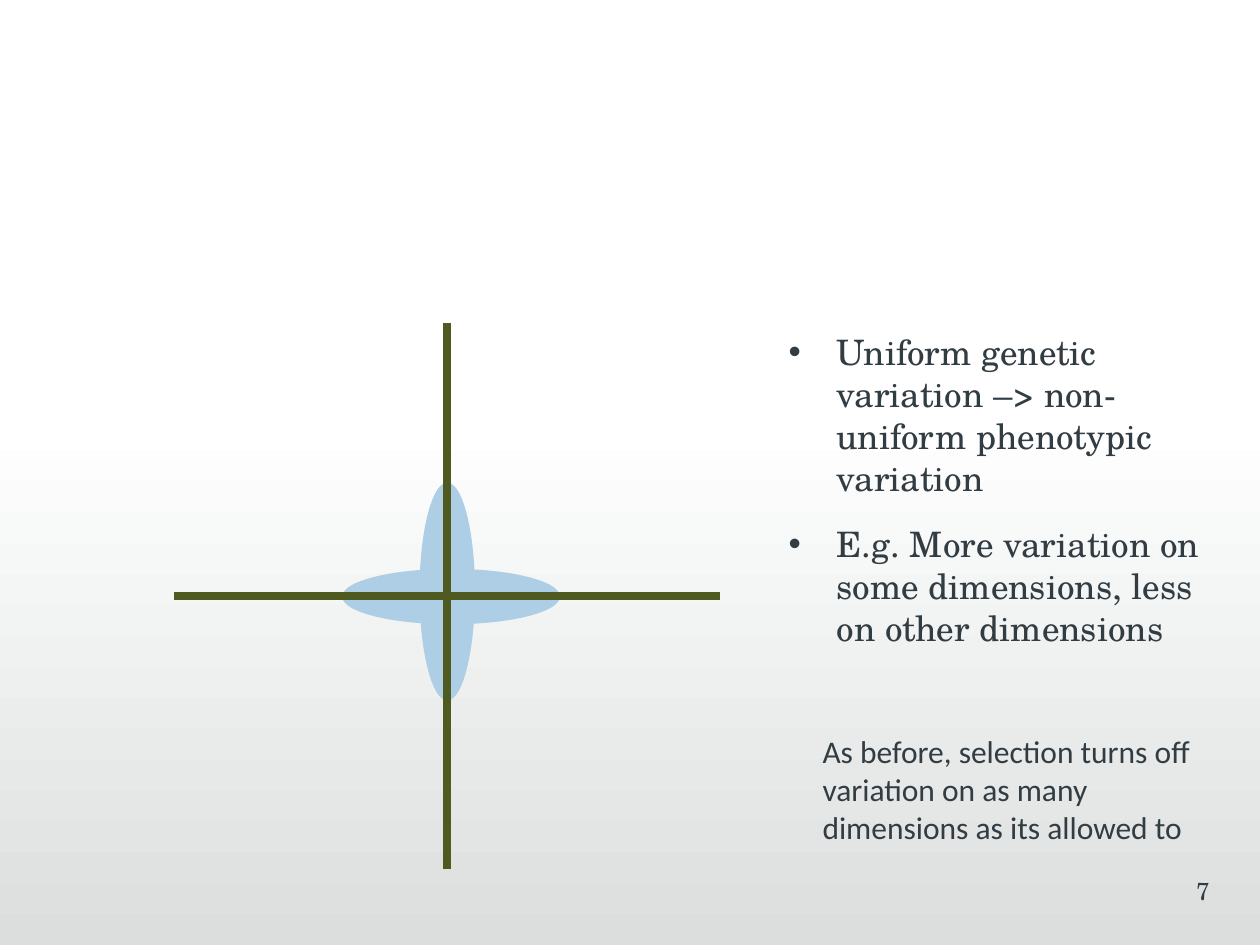
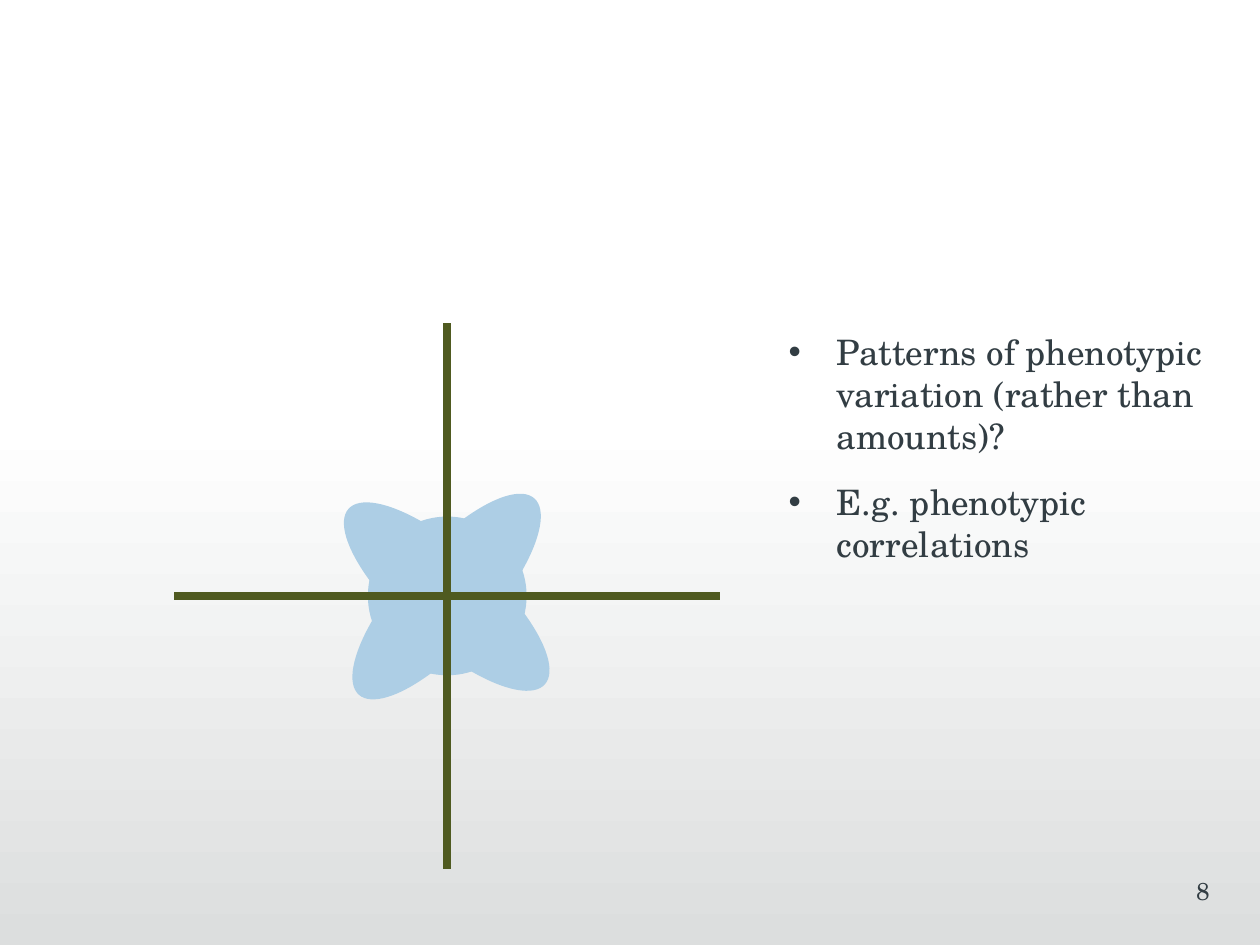
from dataclasses import dataclass
from typing import Any

import pptx
import pptx.dml.color
import pptx.enum.shapes
import pptx.enum.text
import pptx.oxml.ns
import pptx.presentation
import pptx.slide
import pptx.util
from lxml import etree
from pptx.util import Inches

SERIF = "TeX Gyre Schola"
SANS = "Calibri"
INK = "323D43"
PETAL = "ADCEE5"
AXIS = "4F5A20"
BAND_STOPS = ("FFFFFF", "DCDEDE")
CENTER_X, CENTER_Y, AXIS_REACH = 3.55, 4.73, 2.165


@dataclass(frozen=True)
class Area:
    left: float
    top: float
    width: float
    height: float

    def lengths(self) -> list[int]:
        return [Inches(side) for side in (self.left, self.top, self.width, self.height)]


@dataclass(frozen=True)
class Petal:
    area: Area
    rotation: float = 0


@dataclass(frozen=True)
class TextStyle:
    font: str
    size: float
    space_after: float = 0
    indent: float = 0
    hanging: float = 0
    bullet: str = ""
    align: Any = pptx.enum.text.PP_ALIGN.LEFT
    inset_left: float = 0.1
    inset_right: float = 0.1


@dataclass(frozen=True)
class Plot:
    number: int
    petals: list[Petal]
    points: list[str]
    remark: str = ""


BODY = TextStyle(SERIF, 20, space_after=14, indent=0.38, hanging=-0.38, bullet="•", inset_left=0)
NUMBER = TextStyle(SERIF, 14, align=pptx.enum.text.PP_ALIGN.RIGHT, inset_right=0)
REMARK = TextStyle(SANS, 18, space_after=6, indent=0.5)

BAND_AREA = Area(0, 3.33, 10, 4.17)
BODY_AREA = Area(6.26, 2.57, 3.46, 4.5)
NUMBER_AREA = Area(7.52, 6.9, 2.08, 0.5)
REMARK_AREA = Area(5.93, 5.76, 3.74, 1.01)
DIAGONAL_AREA = Area(3.18, 3.69, 0.73, 2.09)

PLOTS = [
    Plot(
        7,
        [Petal(Area(3.33, 3.83, 0.44, 1.73)), Petal(Area(3.36, 3.87, 0.44, 1.73), 90)],
        [
            "Uniform genetic variation –> non-uniform phenotypic variation",
            "E.g. More variation on some dimensions, less on other dimensions",
        ],
        "As before, selection turns off variation on as many dimensions as its allowed to",
    ),
    Plot(
        8,
        [
            Petal(DIAGONAL_AREA, 41.8),
            Petal(Area(2.92, 4.1, 1.26, 1.26)),
            Petal(DIAGONAL_AREA, 131.8),
        ],
        [
            "Patterns of phenotypic variation (rather than amounts)?",
            "E.g. phenotypic correlations",
        ],
    ),
]


def color(value: str) -> pptx.dml.color.RGBColor:
    return pptx.dml.color.RGBColor.from_string(value)


def apply(target: Any, values: dict[str, Any]) -> None:
    for name, value in values.items():
        setattr(target, name, value)


def add_bullet(para: Any, style: TextStyle) -> None:
    properties = para._p.get_or_add_pPr()
    properties.set("marL", str(Inches(style.indent)))
    properties.set("indent", str(Inches(style.hanging)))
    if style.bullet:
        for tag, key, value in (("a:buFont", "typeface", "Arial"), ("a:buChar", "char", style.bullet)):
            etree.SubElement(properties, pptx.oxml.ns.qn(tag)).set(key, value)


def add_text(page: pptx.slide.Slide, area: Area, lines: list[str], style: TextStyle) -> None:
    frame = page.shapes.add_textbox(*area.lengths()).text_frame
    apply(frame, {
        "word_wrap": True,
        "margin_left": Inches(style.inset_left),
        "margin_right": Inches(style.inset_right),
        "margin_top": Inches(0.05),
        "margin_bottom": Inches(0.05),
    })
    for index, line in enumerate(lines):
        para = frame.add_paragraph() if index else frame.paragraphs[0]
        add_bullet(para, style)
        apply(para, {"alignment": style.align, "space_after": pptx.util.Pt(style.space_after)})
        span = para.add_run()
        span.text = line
        apply(span.font, {"name": style.font, "size": pptx.util.Pt(style.size)})
        span.font.color.rgb = color(INK)


def add_plain_shape(page: pptx.slide.Slide, kind: Any, area: Area) -> Any:
    shape = page.shapes.add_shape(kind, *area.lengths())
    shape.shadow.inherit = False
    shape.line.fill.background()
    return shape


def add_band(page: pptx.slide.Slide) -> None:
    band = add_plain_shape(page, pptx.enum.shapes.MSO_SHAPE.RECTANGLE, BAND_AREA)
    band.fill.gradient()
    band.fill.gradient_angle = 270
    for stop, value, position in zip(band.fill.gradient_stops, BAND_STOPS, (0, 1)):
        stop.color.rgb = color(value)
        stop.position = position


def add_petal(page: pptx.slide.Slide, petal: Petal) -> None:
    shape = add_plain_shape(page, pptx.enum.shapes.MSO_SHAPE.OVAL, petal.area)
    shape.fill.solid()
    shape.fill.fore_color.rgb = color(PETAL)
    shape.rotation = petal.rotation


def add_axes(page: pptx.slide.Slide) -> None:
    axes = page.shapes.add_group_shape()
    for reach_x, reach_y in ((0, AXIS_REACH), (AXIS_REACH, 0)):
        axis = axes.shapes.add_connector(
            pptx.enum.shapes.MSO_CONNECTOR.STRAIGHT,
            Inches(CENTER_X - reach_x),
            Inches(CENTER_Y - reach_y),
            Inches(CENTER_X + reach_x),
            Inches(CENTER_Y + reach_y),
        )
        axis.line.color.rgb = color(AXIS)
        axis.line.width = pptx.util.Pt(4.5)
        etree.SubElement(axis._element.spPr, pptx.oxml.ns.qn("a:effectLst"))


def add_plot_page(deck: pptx.presentation.Presentation, plot: Plot) -> None:
    page = deck.slides.add_slide(deck.slide_layouts[6])
    add_band(page)
    add_text(page, BODY_AREA, plot.points, BODY)
    add_text(page, NUMBER_AREA, [str(plot.number)], NUMBER)
    for petal in plot.petals:
        add_petal(page, petal)
    add_axes(page)
    if plot.remark:
        add_text(page, REMARK_AREA, [plot.remark], REMARK)


def main() -> None:
    deck = pptx.Presentation()
    apply(deck, {"slide_width": Inches(10), "slide_height": Inches(7.5)})
    for plot in PLOTS:
        add_plot_page(deck, plot)
    deck.save("out.pptx")


if __name__ == "__main__":
    main()
